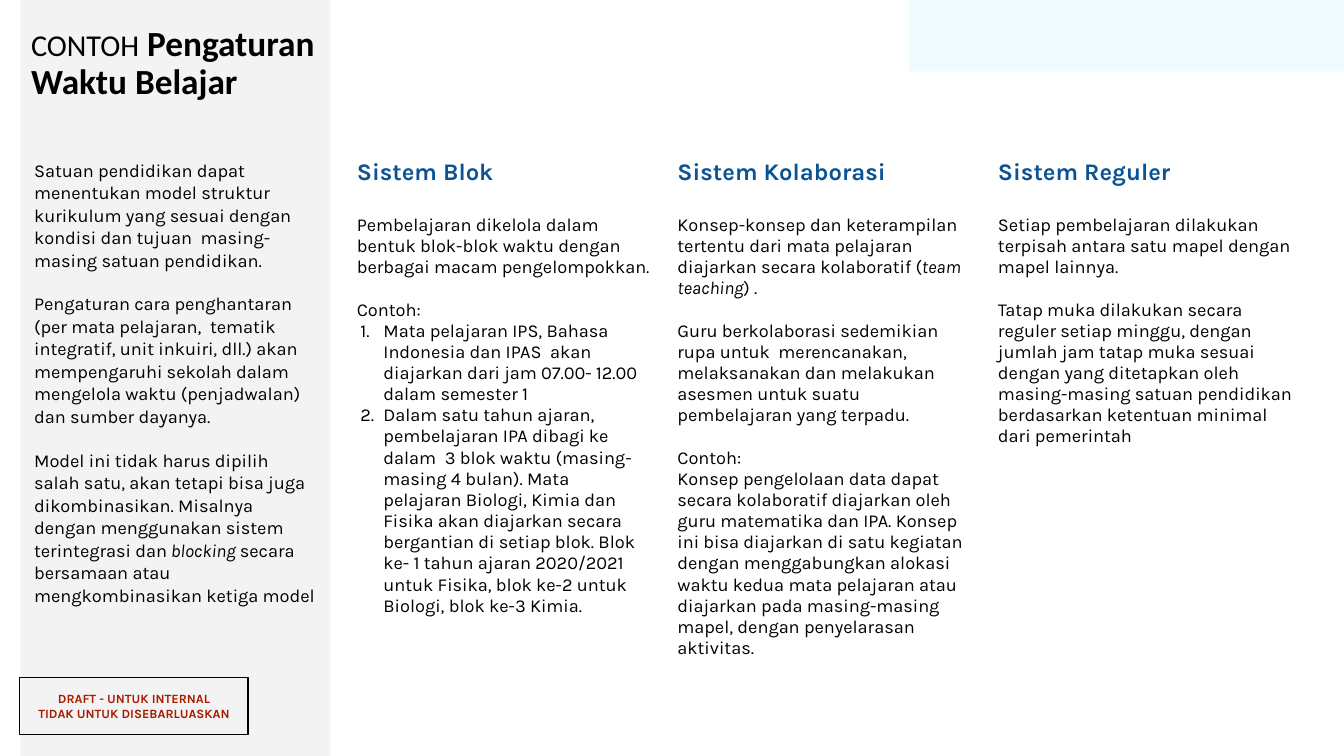
from lxml import etree
from pptx import Presentation
from pptx.dml.color import RGBColor
from pptx.enum.shapes import MSO_SHAPE
from pptx.enum.text import MSO_ANCHOR, MSO_AUTO_SIZE, PP_ALIGN
from pptx.oxml.ns import qn
from pptx.util import Pt

RECT = MSO_SHAPE.RECTANGLE
MIDDLE = MSO_ANCHOR.MIDDLE
NO_FIT = MSO_AUTO_SIZE.NONE
LEFT, CENTER = PP_ALIGN.LEFT, PP_ALIGN.CENTER

COLORS = {"black": "000000", "blue": "0B5394", "red": "A61C00",
          "panel": "F3F3F3", "band": "F0FBFF"}
FONT = "Karla"
INSET = 9.4
GAP = 15.2      # space above a new block of text

# Each paragraph is (kind, text); text between asterisks is italic
INTRO = [
    ("text", "Satuan pendidikan dapat menentukan model struktur kurikulum yang "
             "sesuai dengan kondisi dan tujuan  masing-masing satuan pendidikan."),
    ("block", "Pengaturan cara penghantaran (per mata pelajaran,  tematik "
              "integratif, unit inkuiri, dll.) akan mempengaruhi sekolah dalam "
              "mengelola waktu (penjadwalan) dan sumber dayanya."),
    ("block", "Model ini tidak harus dipilih salah satu, akan tetapi bisa juga "
              "dikombinasikan. Misalnya dengan menggunakan sistem terintegrasi "
              "dan* blocking* secara bersamaan atau mengkombinasikan ketiga model"),
]
SYSTEMS = {
    "Sistem Blok": [
        ("text", "Pembelajaran dikelola dalam bentuk blok-blok waktu dengan "
                 "berbagai macam pengelompokkan."),
        ("block", "Contoh:"),
        ("number", "Mata pelajaran IPS, Bahasa Indonesia dan IPAS  akan diajarkan "
                   "dari jam 07.00- 12.00 dalam semester 1"),
        ("number", "Dalam satu tahun ajaran, pembelajaran IPA dibagi ke dalam  3 "
                   "blok waktu (masing-masing 4 bulan). Mata pelajaran Biologi, "
                   "Kimia dan Fisika akan diajarkan secara bergantian di setiap "
                   "blok. Blok ke- 1 tahun ajaran 2020/2021 untuk Fisika, blok ke-2 "
                   "untuk Biologi, blok ke-3 Kimia."),
    ],
    "Sistem Kolaborasi": [
        ("text", "Konsep-konsep dan keterampilan  tertentu dari mata pelajaran "
                 "diajarkan secara kolaboratif (*team teaching*) ."),
        ("block", "Guru berkolaborasi sedemikian rupa untuk  merencanakan, "
                  "melaksanakan dan melakukan asesmen untuk suatu pembelajaran "
                  "yang terpadu."),
        ("block", "Contoh:"),
        ("text", "Konsep pengelolaan data dapat secara kolaboratif diajarkan oleh "
                 "guru matematika dan IPA. Konsep ini bisa diajarkan di satu "
                 "kegiatan dengan menggabungkan alokasi waktu kedua mata pelajaran "
                 "atau diajarkan pada masing-masing mapel, dengan penyelarasan "
                 "aktivitas."),
    ],
    "Sistem Reguler": [
        ("text", "Setiap pembelajaran dilakukan terpisah antara satu mapel dengan "
                 "mapel lainnya."),
        ("block", "Tatap muka dilakukan secara reguler setiap minggu, dengan jumlah "
                  "jam tatap muka sesuai dengan yang ditetapkan oleh masing-masing "
                  "satuan pendidikan berdasarkan ketentuan minimal dari pemerintah"),
    ],
}
DRAFT = [("text", "DRAFT - UNTUK INTERNAL"),
         ("text", "TIDAK UNTUK DISEBARLUASKAN")]


def rgb(name):
    return RGBColor.from_string(COLORS[name])


def set_inset(item):
    item.margin_left = item.margin_right = Pt(INSET)
    item.margin_top = item.margin_bottom = Pt(INSET)


def add_rect(slide, box, fill=None, line=None):
    rect = slide.shapes.add_shape(RECT, *map(Pt, box))
    rect.shadow.inherit = False
    if fill:
        rect.fill.solid()
        rect.fill.fore_color.rgb = rgb(fill)
    else:
        rect.fill.background()
    if line:
        rect.line.color.rgb = rgb(line)
        rect.line.width = Pt(0.75)
    else:
        rect.line.fill.background()
    return rect


def number(para):
    props = para._p.get_or_add_pPr()
    props.set("marL", str(Pt(19)))
    props.set("indent", str(Pt(-16.5)))
    auto = etree.SubElement(props, qn("a:buAutoNum"))
    auto.set("type", "arabicPeriod")


def write(frame, paras, size=13, color="black", bold=False, align=LEFT,
          spacing=None):
    for i, (kind, text) in enumerate(paras):
        para = frame.paragraphs[0] if i == 0 else frame.add_paragraph()
        para.alignment = align
        para.line_spacing = spacing
        para.font.name, para.font.size = FONT, Pt(size)
        para.font.bold = bold
        para.font.color.rgb = rgb(color)
        if kind == "block":
            para.space_before = Pt(GAP)
        elif kind == "number":
            number(para)
        for j, part in enumerate(text.split("*")):
            run = para.add_run()
            run.text = part
            if j % 2:
                run.font.italic = True


def set_title(slide):
    title = slide.shapes.title
    slide.shapes._spTree.append(title._element)   # bring above the panel
    title.left, title.top = Pt(15), Pt(16)
    title.width, title.height = Pt(221), Pt(60)
    frame = title.text_frame
    frame.auto_size, frame.word_wrap = NO_FIT, True
    frame.vertical_anchor = MIDDLE
    para = frame.paragraphs[0]
    para.alignment, para.line_spacing = LEFT, 0.9
    para.font.name = "Calibri"
    para.font.color.rgb = rgb("black")
    for text, size, bold in (("CONTOH", 21.6, False),
                             (" Pengaturan Waktu Belajar", 25.2, True)):
        run = para.add_run()
        run.text = text
        run.font.size, run.font.bold = Pt(size), bold


def add_intro(slide):
    box = slide.shapes.add_textbox(Pt(15), Pt(103.7), Pt(221), Pt(319))
    frame = box.text_frame
    frame.word_wrap = True
    set_inset(frame)
    write(frame, INTRO, spacing=1.03)


def add_systems(slide):
    width, heights = 229, (40.3, 329.8)
    shape = slide.shapes.add_table(2, len(SYSTEMS), Pt(245.5), Pt(103.7),
                                   Pt(width * len(SYSTEMS)), Pt(sum(heights)))
    table = shape.table
    table.first_row = table.horz_banding = False
    for row, height in zip(table.rows, heights):
        row.height = Pt(height)
    for col, (name, paras) in enumerate(SYSTEMS.items()):
        table.columns[col].width = Pt(width)
        head, body = table.cell(0, col), table.cell(1, col)
        for cell in (head, body):
            cell.fill.background()
            set_inset(cell)
        write(head.text_frame, [("text", name)], 17, "blue", True)
        write(body.text_frame, paras)


def add_draft(slide):
    frame = add_rect(slide, (14.2, 483.8, 163, 41), line="black").text_frame
    frame.word_wrap = True
    frame.vertical_anchor = MIDDLE
    set_inset(frame)
    write(frame, DRAFT, 9, "red", True, CENTER)


def main():
    deck = Presentation()
    deck.slide_width, deck.slide_height = Pt(960), Pt(540)
    slide = deck.slides.add_slide(deck.slide_layouts[5])

    # Background areas
    add_rect(slide, (649, 0, 311, 51), "band")
    add_rect(slide, (15, -3, 221, 543), "panel")

    # Content
    add_systems(slide)
    set_title(slide)
    add_intro(slide)
    add_draft(slide)
    deck.save("out.pptx")


if __name__ == "__main__":
    main()
